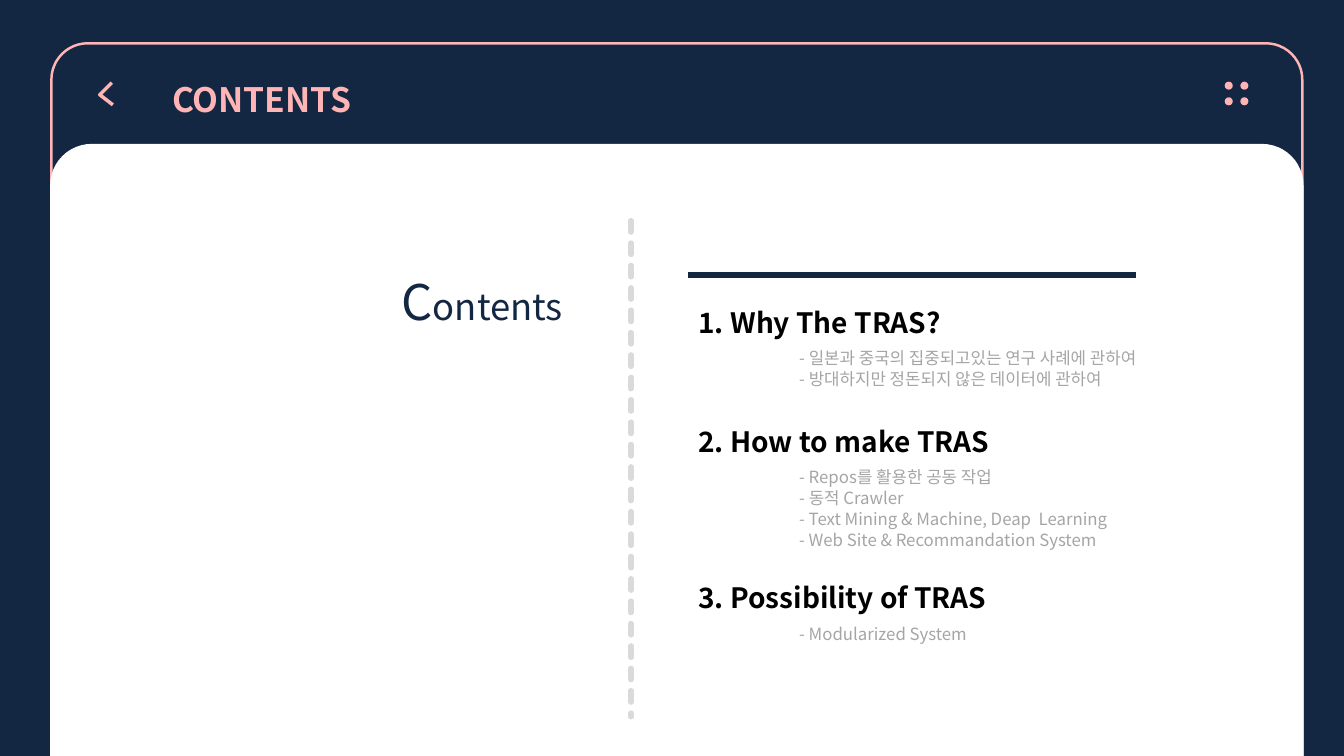
from lxml.etree import SubElement
from pptx import Presentation
from pptx.dml.color import RGBColor
from pptx.enum.dml import MSO_LINE
from pptx.enum.shapes import MSO_CONNECTOR, MSO_SHAPE
from pptx.enum.text import MSO_ANCHOR, MSO_AUTO_SIZE, PP_ALIGN
from pptx.oxml.ns import qn
from pptx.util import Pt

NAVY, PINK, WHITE = "132742", "FFB5B6", "FFFFFF"
BLACK, GRAY, PALE = "000000", "A5A5A5", "D9DADB"
FONT = "Noto Sans CJK KR"

HEADING = "CONTENTS"
LABEL = [("C", 35), ("ontents", 26)]
SECTIONS = [
    (214.56, 88.56, "1. Why The TRAS?", [
        "- 일본과 중국의 집중되고있는 연구 사례에 관하여",
        "- 방대하지만 정돈되지 않은 데이터에 관하여",
    ]),
    (299.52, 110.88, "2. How to make TRAS", [
        "- Repos를 활용한 공동 작업",
        "- 동적 Crawler",
        "- Text Mining & Machine, Deap  Learning",
        "- Web Site & Recommandation System",
    ]),
    (411.12, 81.36, "3. Possibility of TRAS", ["- Modularized System"]),
]
PANELS = [
    (30.96, 509.04, 0.051, None, PINK),
    (103.68, 436.32, 0.066, WHITE, WHITE),
]
PANEL_LEFT, PANEL_WIDTH = 36.72, 893.52
ARROW = [(79.92, 59.04), (71.28, 67.68), (80.64, 74.88)]
DOT_LEFT, DOT_TOP, DOT_SIZE, DOT_STEP = 874.8, 58.32, 5.76, 11.16
SECTION_LEFT, SECTION_WIDTH = 491.76, 404.64
DIVIDER = (450.72, 157.68, 450.72, 511.92)
RULE = (491.76, 196.56, 811.44, 196.56)

HEAD_FORMAT = {"line_spacing": Pt(24)}
ITEM_FORMAT = {"line_spacing": Pt(15)}


def color(hex_code):
    return RGBColor.from_string(hex_code)


def set_all(target, values):
    for name, value in values.items():
        setattr(target, name, value)


def add_run(paragraph, text, size, hex_code, bold=False):
    run = paragraph.add_run()
    run.text = text
    run.font.color.rgb = color(hex_code)
    set_all(run.font, {"name": FONT, "size": Pt(size), "bold": bold})
    SubElement(run.font._element, qn("a:ea")).set("typeface", FONT)


def paint(shape, fill, line, width=1.75):
    shape.shadow.inherit = False
    if fill:
        shape.fill.solid()
        shape.fill.fore_color.rgb = color(fill)
    else:
        shape.fill.background()
    if line:
        shape.line.color.rgb = color(line)
        shape.line.width = Pt(width)
    else:
        shape.line.fill.background()


def add_line(shapes, ends, hex_code):
    line = shapes.add_connector(MSO_CONNECTOR.STRAIGHT, *map(Pt, ends))
    line.line.color.rgb = color(hex_code)
    line.line.width = Pt(4)
    SubElement(line._element.spPr, qn("a:effectLst"))
    return line


def add_frame(shapes, *box):
    frame = shapes.add_textbox(*map(Pt, box)).text_frame
    frame.word_wrap = True
    return frame


def add_header(slide):
    shapes = slide.shapes
    for top, height, radius, fill, line in PANELS:
        panel = shapes.add_shape(MSO_SHAPE.ROUND_2_SAME_RECTANGLE,
                                 *map(Pt, (PANEL_LEFT, top, PANEL_WIDTH, height)))
        panel.adjustments[0] = radius
        panel.adjustments[1] = 0
        paint(panel, fill, line)

    title = shapes.title
    set_all(title, {"left": Pt(123), "top": Pt(55), "width": Pt(600), "height": Pt(32)})
    set_all(title.text_frame, {
        "margin_left": 0, "margin_top": 0, "margin_right": 0, "margin_bottom": 0,
        "vertical_anchor": MSO_ANCHOR.TOP, "auto_size": MSO_AUTO_SIZE.NONE,
    })
    line = title.text_frame.paragraphs[0]
    set_all(line, {"alignment": PP_ALIGN.LEFT, "line_spacing": Pt(30), "space_before": Pt(0)})
    add_run(line, HEADING, 24, PINK, True)

    start, *corners = [(Pt(x), Pt(y)) for x, y in ARROW]
    builder = shapes.build_freeform(*start)
    builder.add_line_segments(corners, close=False)
    paint(builder.convert_to_shape(), None, PINK, 2.5)

    for index in range(4):
        row, column = divmod(index, 2)
        dot = shapes.add_shape(MSO_SHAPE.OVAL, Pt(DOT_LEFT + column * DOT_STEP),
                               Pt(DOT_TOP + row * DOT_STEP), Pt(DOT_SIZE), Pt(DOT_SIZE))
        paint(dot, PINK, None)


def add_contents(shapes):
    label = add_frame(shapes, 261.36, 187.92, 166.32, 54.72)
    label.vertical_anchor = MSO_ANCHOR.MIDDLE
    label.paragraphs[0].alignment = PP_ALIGN.CENTER
    for text, size in LABEL:
        add_run(label.paragraphs[0], text, size, NAVY)

    divider = add_line(shapes, DIVIDER, PALE)
    divider.line.dash_style = MSO_LINE.SQUARE_DOT
    divider.line._get_or_add_ln().set("cap", "rnd")
    add_line(shapes, RULE, NAVY)

    for top, height, heading, items in SECTIONS:
        section = add_frame(shapes, SECTION_LEFT, top, SECTION_WIDTH, height)
        set_all(section.paragraphs[0], HEAD_FORMAT)
        add_run(section.paragraphs[0], heading, 20, BLACK, True)
        for index, item in enumerate(items):
            entry = section.add_paragraph()
            set_all(entry, ITEM_FORMAT | {"space_before": Pt(0 if index else 6)})
            entry._p.get_or_add_pPr().set("marL", str(Pt(72)))
            add_run(entry, item, 12, GRAY)


def main():
    deck = Presentation()
    set_all(deck, {"slide_width": Pt(960), "slide_height": Pt(540)})
    slide = deck.slides.add_slide(deck.slide_layouts[5])
    slide.background.fill.solid()
    slide.background.fill.fore_color.rgb = color(NAVY)
    add_header(slide)
    add_contents(slide.shapes)
    deck.save("out.pptx")


if __name__ == "__main__":
    main()
